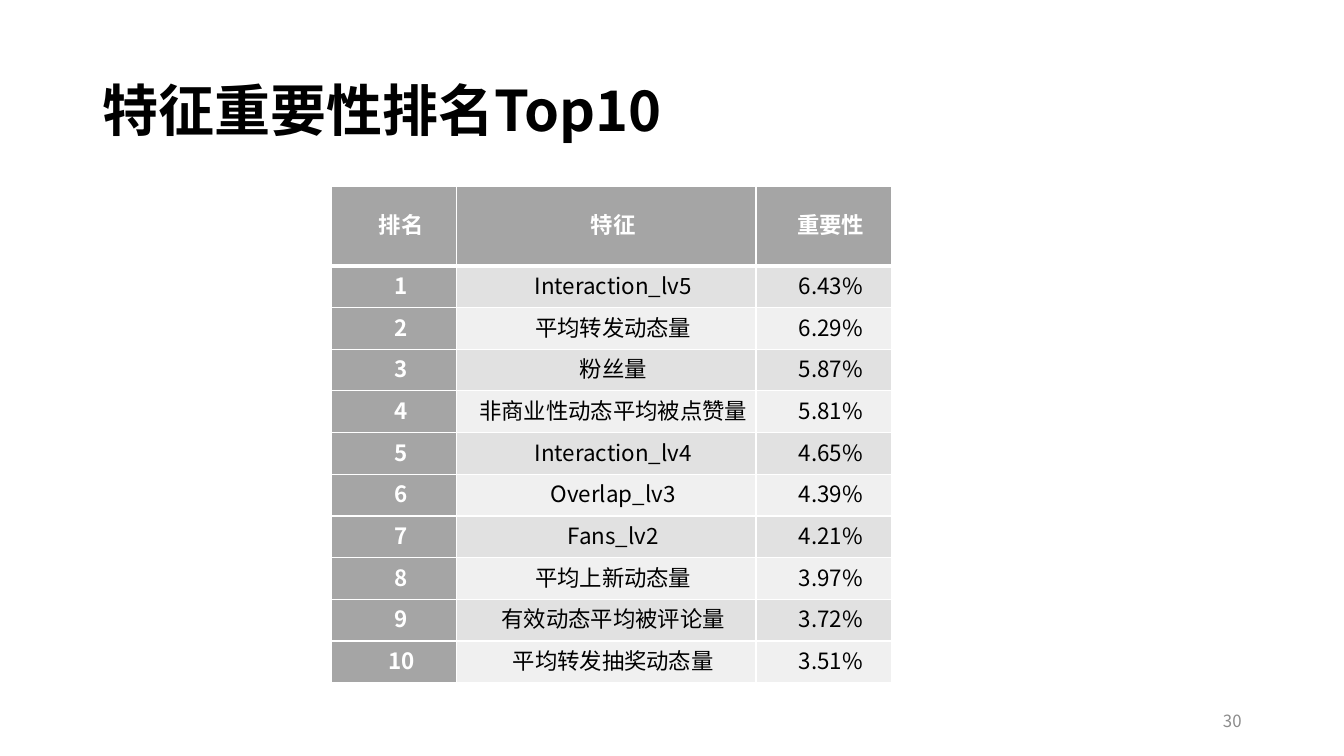
from dataclasses import dataclass

from lxml import etree
from pptx import Presentation
from pptx.dml.color import RGBColor
from pptx.enum.text import MSO_ANCHOR, MSO_AUTO_SIZE, PP_ALIGN
from pptx.oxml.ns import qn
from pptx.slide import Slide
from pptx.table import _Cell
from pptx.text.text import _Paragraph
from pptx.util import Cm, Pt

MIDDLE = MSO_ANCHOR.MIDDLE
NO_AUTOFIT = MSO_AUTO_SIZE.NONE
LEFT, CENTER, RIGHT = PP_ALIGN.LEFT, PP_ALIGN.CENTER, PP_ALIGN.RIGHT
TITLE_ONLY_LAYOUT = 5


@dataclass(frozen=True)
class Theme:
    font: str = "Noto Sans CJK SC"
    ink: str = "000000"
    white: str = "FFFFFF"
    page_gray: str = "8C8C8C"
    heading_fill: str = "A5A5A5"
    band_fills: tuple[str, str] = ("E1E1E1", "F0F0F0")
    title_pt: int = 40
    table_pt: int = 16
    page_pt: int = 12
    line_pt: int = 20
    rule_pt: int = 1
    header_rule_pt: int = 3


@dataclass(frozen=True)
class Column:
    heading: str
    width: float


@dataclass(frozen=True)
class Feature:
    name: str
    importance: str


THEME = Theme()
COLUMNS = [Column("排名", 3.15), Column("特征", 7.54), Column("重要性", 3.42)]
FEATURES = [
    Feature("Interaction_lv5", "6.43%"),
    Feature("平均转发动态量", "6.29%"),
    Feature("粉丝量", "5.87%"),
    Feature("非商业性动态平均被点赞量", "5.81%"),
    Feature("Interaction_lv4", "4.65%"),
    Feature("Overlap_lv3", "4.39%"),
    Feature("Fans_lv2", "4.21%"),
    Feature("平均上新动态量", "3.97%"),
    Feature("有效动态平均被评论量", "3.72%"),
    Feature("平均转发抽奖动态量", "3.51%"),
]
TABLE_LEFT, TABLE_TOP = 8.36, 4.7
HEADER_HEIGHT, FEATURE_HEIGHT = 2.0, 1.05
CELL_INSET, FIRST_LINE_INDENT = 0.18, 0.35


def add_run(paragraph: _Paragraph, text: str, size: int, color: str, bold: bool = False) -> None:
    """Append a run that uses the theme font for Latin and East Asian text."""
    run = paragraph.add_run()
    run.text = text
    font = run.font
    font.name, font.size, font.bold = THEME.font, Pt(size), bold
    font.color.rgb = RGBColor.from_string(color)
    etree.SubElement(run._r.get_or_add_rPr(), qn("a:ea"), typeface=THEME.font)


def set_borders(cell: _Cell, top: int, bottom: int) -> None:
    """Draw white rules round the cell; top and bottom are in points."""
    properties = cell._tc.get_or_add_tcPr()
    edges = {"L": THEME.rule_pt, "R": THEME.rule_pt, "T": top, "B": bottom}
    for position, (side, width) in enumerate(edges.items()):
        rule = etree.Element(qn(f"a:ln{side}"), w=str(Pt(width)))
        fill = etree.SubElement(rule, qn("a:solidFill"))
        etree.SubElement(fill, qn("a:srgbClr"), val=THEME.white)
        properties.insert(position, rule)


def fill_cell(cell: _Cell, text: str, row: int, is_heading: bool) -> None:
    cell.fill.solid()
    background = THEME.heading_fill if is_heading else THEME.band_fills[(row - 1) % 2]
    cell.fill.fore_color.rgb = RGBColor.from_string(background)
    cell.vertical_anchor = MIDDLE
    cell.margin_left = cell.margin_right = Cm(CELL_INSET)
    cell.margin_top = cell.margin_bottom = 0
    set_borders(
        cell,
        top=THEME.header_rule_pt if row == 1 else THEME.rule_pt,
        bottom=THEME.header_rule_pt if row == 0 else THEME.rule_pt,
    )
    paragraph = cell.text_frame.paragraphs[0]
    paragraph.alignment = CENTER
    paragraph.line_spacing = Pt(THEME.line_pt)
    indents = paragraph._p.get_or_add_pPr()
    indents.set("marL", "0")
    indents.set("indent", str(Cm(FIRST_LINE_INDENT)))
    add_run(paragraph, text, THEME.table_pt, THEME.white if is_heading else THEME.ink, is_heading)


def add_title(slide: Slide, text: str) -> None:
    title = slide.shapes.title
    title.left, title.top, title.width, title.height = Cm(2.33), Cm(1.01), Cm(29.21), Cm(3.68)
    frame = title.text_frame
    frame.word_wrap, frame.auto_size, frame.vertical_anchor = True, NO_AUTOFIT, MIDDLE
    paragraph = frame.paragraphs[0]
    paragraph.alignment, paragraph.line_spacing = LEFT, 0.9
    add_run(paragraph, text, THEME.title_pt, THEME.ink, bold=True)


def add_ranking(slide: Slide) -> None:
    rows = [[column.heading for column in COLUMNS]]
    rows += [[str(rank), item.name, item.importance] for rank, item in enumerate(FEATURES, 1)]
    heights = [HEADER_HEIGHT] + [FEATURE_HEIGHT] * len(FEATURES)
    width = sum(column.width for column in COLUMNS)
    ranking = slide.shapes.add_table(
        len(rows), len(COLUMNS), Cm(TABLE_LEFT), Cm(TABLE_TOP), Cm(width), Cm(sum(heights))
    ).table
    ranking.first_col = True
    for grid_column, column in zip(ranking.columns, COLUMNS):
        grid_column.width = Cm(column.width)
    for row, (texts, height) in enumerate(zip(rows, heights)):
        ranking.rows[row].height = Cm(height)
        for col, text in enumerate(texts):
            fill_cell(ranking.cell(row, col), text, row, is_heading=row == 0 or col == 0)


def add_page_number(slide: Slide, number: str) -> None:
    frame = slide.shapes.add_textbox(Cm(23.92), Cm(17.65), Cm(7.62), Cm(1.01)).text_frame
    frame.word_wrap, frame.vertical_anchor = True, MIDDLE
    frame.paragraphs[0].alignment = RIGHT
    add_run(frame.paragraphs[0], number, THEME.page_pt, THEME.page_gray)


def main() -> None:
    deck = Presentation()
    deck.slide_width, deck.slide_height = Cm(33.87), Cm(19.05)
    slide = deck.slides.add_slide(deck.slide_layouts[TITLE_ONLY_LAYOUT])
    add_title(slide, "特征重要性排名Top10")
    add_ranking(slide)
    add_page_number(slide, "30")
    deck.save("out.pptx")


if __name__ == "__main__":
    main()
